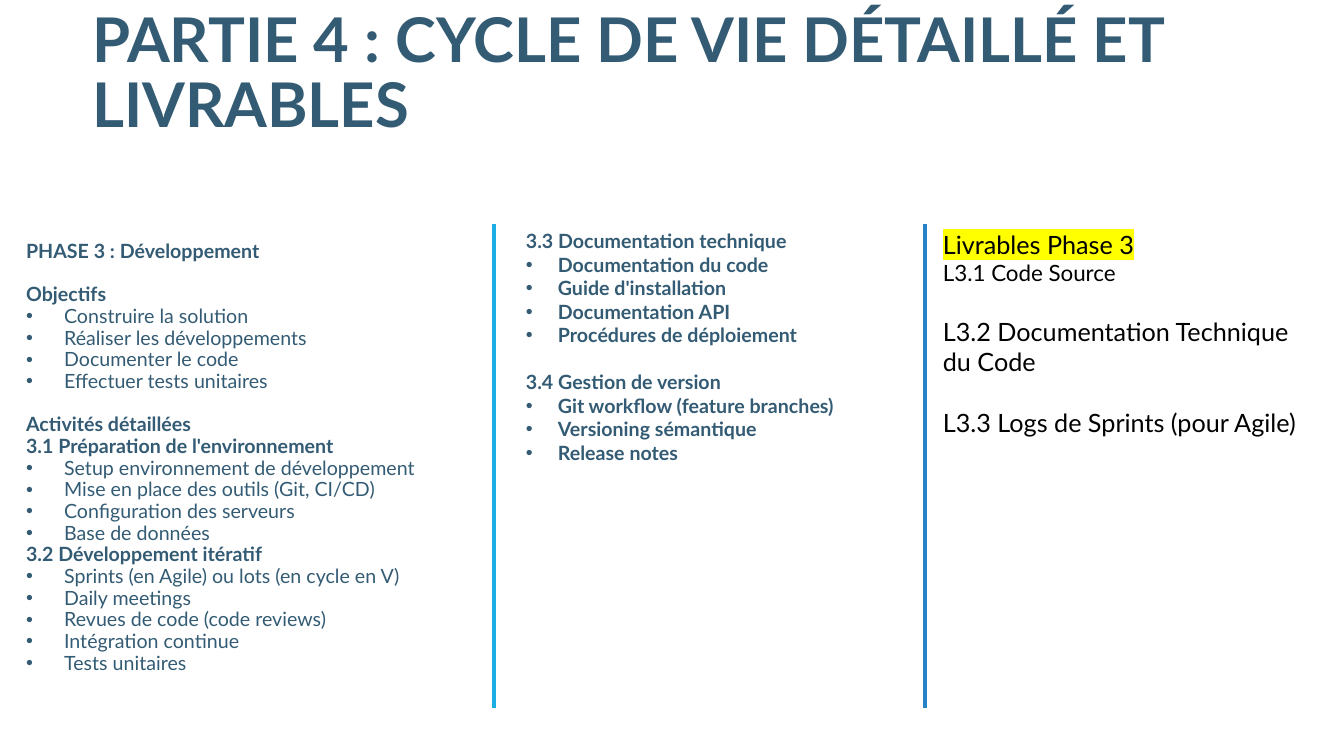
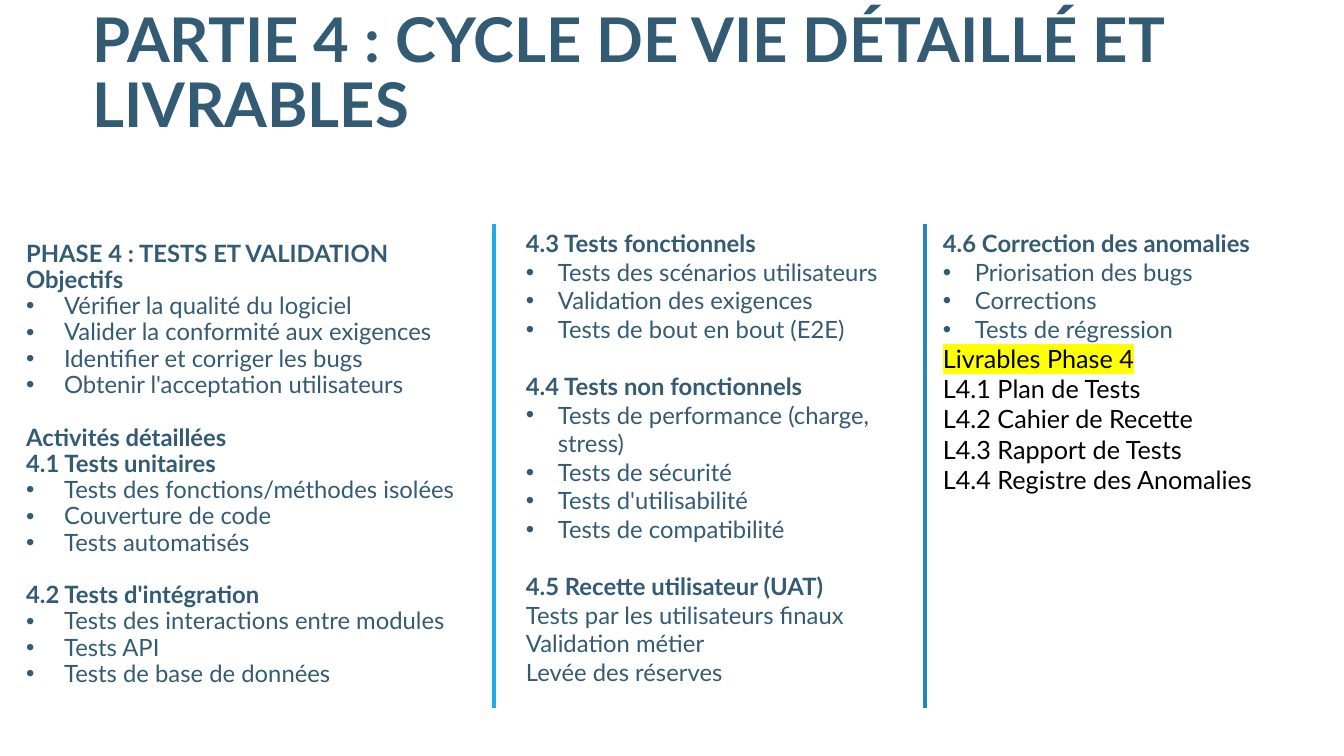
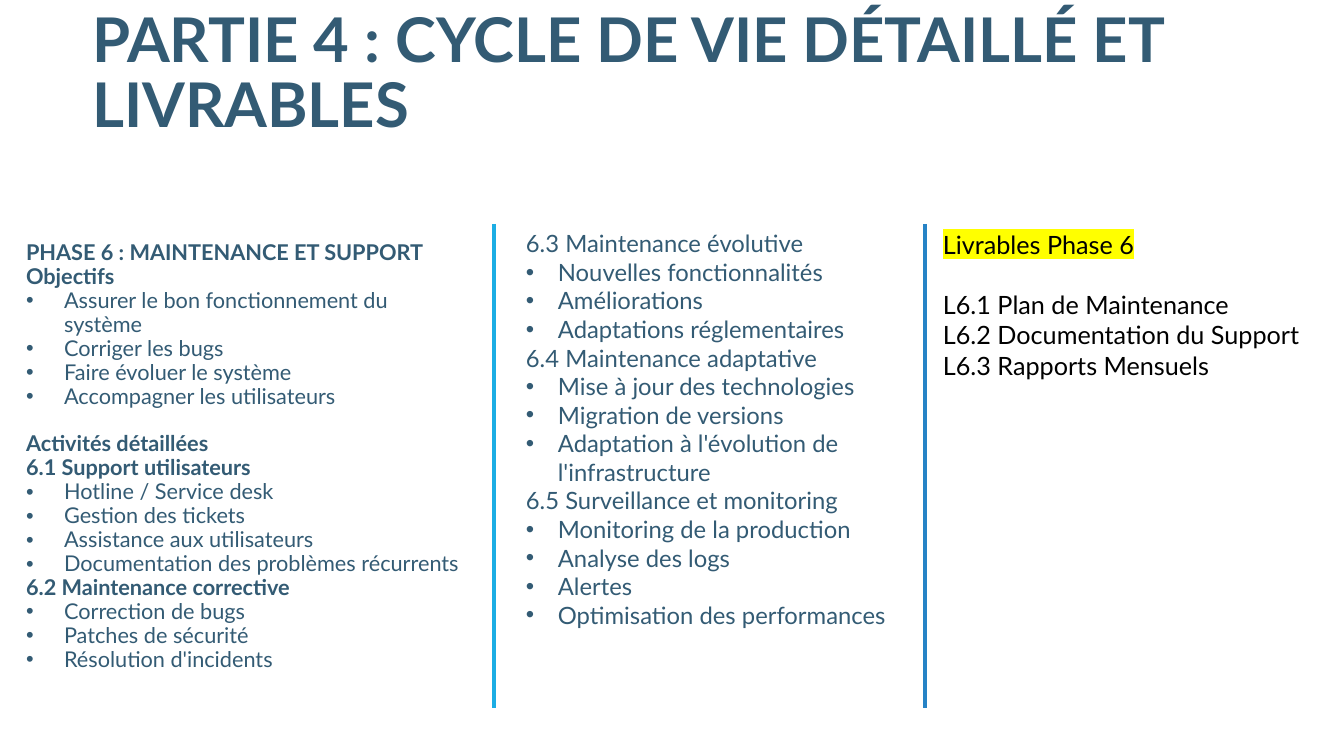
from lxml import etree
from pptx import Presentation
from pptx.dml.color import RGBColor
from pptx.enum.shapes import MSO_CONNECTOR as Connector
from pptx.enum.text import MSO_ANCHOR as Anchor, MSO_AUTO_SIZE as AutoSize, PP_ALIGN as Align
from pptx.oxml.ns import qn
from pptx.util import Emu, Pt

# Shared style
PX = 914400 / 100.8
FONT = "Lato"
LINE_HEIGHT = 1.2
NAVY, BLACK, YELLOW = "335B74", "000000", "FFFF00"
TITLE = "PARTIE 4 : CYCLE DE VIE DÉTAILLÉ ET LIVRABLES"
DIVIDERS = [(494, "1CADE4"), (925, "2683C6")]


def px(length):
    return Emu(round(length * PX))


def rgb(value):
    return RGBColor.from_string(value)


def write(para, text, size=14, bold=False, color=NAVY, mark=None,
          bullet=False, indent=32, spacing=1.0, gap=0):
    """Fill one paragraph; gap is the type size of the empty line above it."""
    para.alignment = Align.LEFT
    para.line_spacing = spacing
    para.space_before = Pt(round(gap * LINE_HEIGHT * spacing, 1))
    para.space_after = Pt(0)
    props = para._p.get_or_add_pPr()
    margin = px(indent) if bullet else 0
    props.set("marL", str(margin))
    props.set("indent", str(-margin))
    if bullet:
        etree.SubElement(props, qn("a:buFont"), typeface="Arial")
        etree.SubElement(props, qn("a:buChar"), char="•")
    else:
        etree.SubElement(props, qn("a:buNone"))
    span = para.add_run()
    span.text = text
    font = span.font
    font.name, font.size, font.bold = FONT, Pt(size), bold
    font.color.rgb = rgb(color)
    if mark:
        highlight = etree.Element(qn("a:highlight"))
        etree.SubElement(highlight, qn("a:srgbClr"), val=mark)
        span._r.get_or_add_rPr().find(qn("a:solidFill")).addnext(highlight)


# Kinds of line: each gives a list of (text, format)
def lines(*texts, **style):
    return [(text, style) for text in texts]


def head(text, **style):
    return lines(text, bold=True, **style)


def bullets(*texts, **style):
    return lines(*texts, bullet=True, **style)


def results(*texts, **style):
    return lines(*texts, **{"size": 18, "color": BLACK, **style})


class PhaseDeck:
    def __init__(self):
        self.deck = Presentation()
        self.deck.slide_width, self.deck.slide_height = px(1344), px(756)
        self.page = None

    def place(self, shape, left, top, width, height):
        shape.left, shape.top, shape.width, shape.height = map(px, (left, top, width, height))
        frame = shape.text_frame
        frame.word_wrap = True
        frame.auto_size = AutoSize.NONE
        return frame

    def fill(self, frame, content, **base):
        for number, (text, style) in enumerate(content):
            para = frame.add_paragraph() if number else frame.paragraphs[0]
            write(para, text, **{**base, **style})

    def title(self):
        frame = self.place(self.page.shapes.title, 82, 0, 1164, 146)
        frame.vertical_anchor = Anchor.BOTTOM
        self.fill(frame, head(TITLE), size=44, spacing=0.89)

    def body(self, content, size):
        frame = self.place(self.page.placeholders[1], 16, 236, 464, 495)
        frame.vertical_anchor = Anchor.TOP
        self.fill(frame, content, size=size, indent=38, spacing=0.92)

    def column(self, content, size, left, top, height, inset=5):
        area = (left, top, 395, height)
        box = self.page.shapes.add_textbox(*map(px, area))
        frame = self.place(box, *area)
        frame.auto_size = AutoSize.SHAPE_TO_FIT_TEXT
        frame.margin_top = px(inset)
        self.fill(frame, content, size=size)

    def divider(self, x, color):
        line = self.page.shapes.add_connector(Connector.STRAIGHT, px(x), px(224), px(x), px(708))
        line.line.color.rgb = rgb(color)
        line.line.width = Pt(2.75)
        etree.SubElement(line._element.spPr, qn("a:effectLst"))

    def phase(self, sizes, heights, left, middle, right):
        self.page = self.deck.slides.add_slide(self.deck.slide_layouts[1])
        self.title()
        self.body(left, sizes[0])
        self.column(middle, sizes[1], 516, 224, heights[0])
        self.column(right, sizes[1], 933, 194, heights[1], inset=35)
        for x, color in DIVIDERS:
            self.divider(x, color)


def main():
    show = PhaseDeck()

    # Phase 3: development
    show.phase(
        sizes=(14, 14), heights=(307, 251),
        left=head("PHASE 3 : Développement")
        + head("Objectifs", gap=14)
        + bullets("Construire la solution", "Réaliser les développements",
                  "Documenter le code", "Effectuer tests unitaires")
        + head("Activités détaillées", gap=14)
        + head("3.1 Préparation de l'environnement")
        + bullets("Setup environnement de développement",
                  "Mise en place des outils (Git, CI/CD)",
                  "Configuration des serveurs", "Base de données")
        + head("3.2 Développement itératif")
        + bullets("Sprints (en Agile) ou lots (en cycle en V)", "Daily meetings",
                  "Revues de code (code reviews)", "Intégration continue", "Tests unitaires"),
        middle=head("3.3 Documentation technique")
        + bullets("Documentation du code", "Guide d'installation", "Documentation API",
                  "Procédures de déploiement", bold=True)
        + head("3.4 Gestion de version", gap=14)
        + bullets("Git workflow (feature branches)", "Versioning sémantique",
                  "Release notes", bold=True),
        right=results("Livrables Phase 3", mark=YELLOW)
        + results("L3.1 Code Source", size=16)
        + results("L3.2 Documentation Technique du Code",
                  "L3.3 Logs de Sprints (pour Agile)", gap=18),
    )

    # Phase 4: tests and validation
    show.phase(
        sizes=(17, 17), heights=(531, 340),
        left=head("PHASE 4 : TESTS ET VALIDATION")
        + head("Objectifs")
        + bullets("Vérifier la qualité du logiciel", "Valider la conformité aux exigences",
                  "Identifier et corriger les bugs", "Obtenir l'acceptation utilisateurs")
        + head("Activités détaillées", gap=17)
        + head("4.1 Tests unitaires")
        + bullets("Tests des fonctions/méthodes isolées", "Couverture de code",
                  "Tests automatisés")
        + head("4.2 Tests d'intégration", gap=17)
        + bullets("Tests des interactions entre modules", "Tests API",
                  "Tests de base de données"),
        middle=head("4.3 Tests fonctionnels")
        + bullets("Tests des scénarios utilisateurs", "Validation des exigences",
                  "Tests de bout en bout (E2E)")
        + head("4.4 Tests non fonctionnels", gap=17)
        + bullets("Tests de performance (charge, stress)", "Tests de sécurité",
                  "Tests d'utilisabilité", "Tests de compatibilité")
        + head("4.5 Recette utilisateur (UAT)", gap=17)
        + lines("Tests par les utilisateurs finaux", "Validation métier", "Levée des réserves"),
        right=head("4.6 Correction des anomalies")
        + bullets("Priorisation des bugs", "Corrections", "Tests de régression")
        + results("Livrables Phase 4", mark=YELLOW)
        + results("L4.1 Plan de Tests", "L4.2 Cahier de Recette",
                  "L4.3 Rapport de Tests", "L4.4 Registre des Anomalies"),
    )

    # Phase 6: maintenance and support
    show.phase(
        sizes=(15.5, 17), heights=(504, 224),
        left=head("PHASE 6 : MAINTENANCE ET SUPPORT")
        + head("Objectifs")
        + bullets("Assurer le bon fonctionnement du système", "Corriger les bugs",
                  "Faire évoluer le système", "Accompagner les utilisateurs")
        + head("Activités détaillées", gap=15.5)
        + head("6.1 Support utilisateurs")
        + bullets("Hotline / Service desk", "Gestion des tickets",
                  "Assistance aux utilisateurs", "Documentation des problèmes récurrents")
        + head("6.2 Maintenance corrective")
        + bullets("Correction de bugs", "Patches de sécurité", "Résolution d'incidents"),
        middle=lines("6.3 Maintenance évolutive")
        + bullets("Nouvelles fonctionnalités", "Améliorations", "Adaptations réglementaires")
        + lines("6.4 Maintenance adaptative")
        + bullets("Mise à jour des technologies", "Migration de versions",
                  "Adaptation à l'évolution de l'infrastructure")
        + lines("6.5 Surveillance et monitoring")
        + bullets("Monitoring de la production", "Analyse des logs", "Alertes",
                  "Optimisation des performances"),
        right=results("Livrables Phase 6", mark=YELLOW)
        + results("L6.1 Plan de Maintenance", gap=18)
        + results("L6.2 Documentation du Support", "L6.3 Rapports Mensuels"),
    )

    show.deck.save("out.pptx")


if __name__ == "__main__":
    main()
